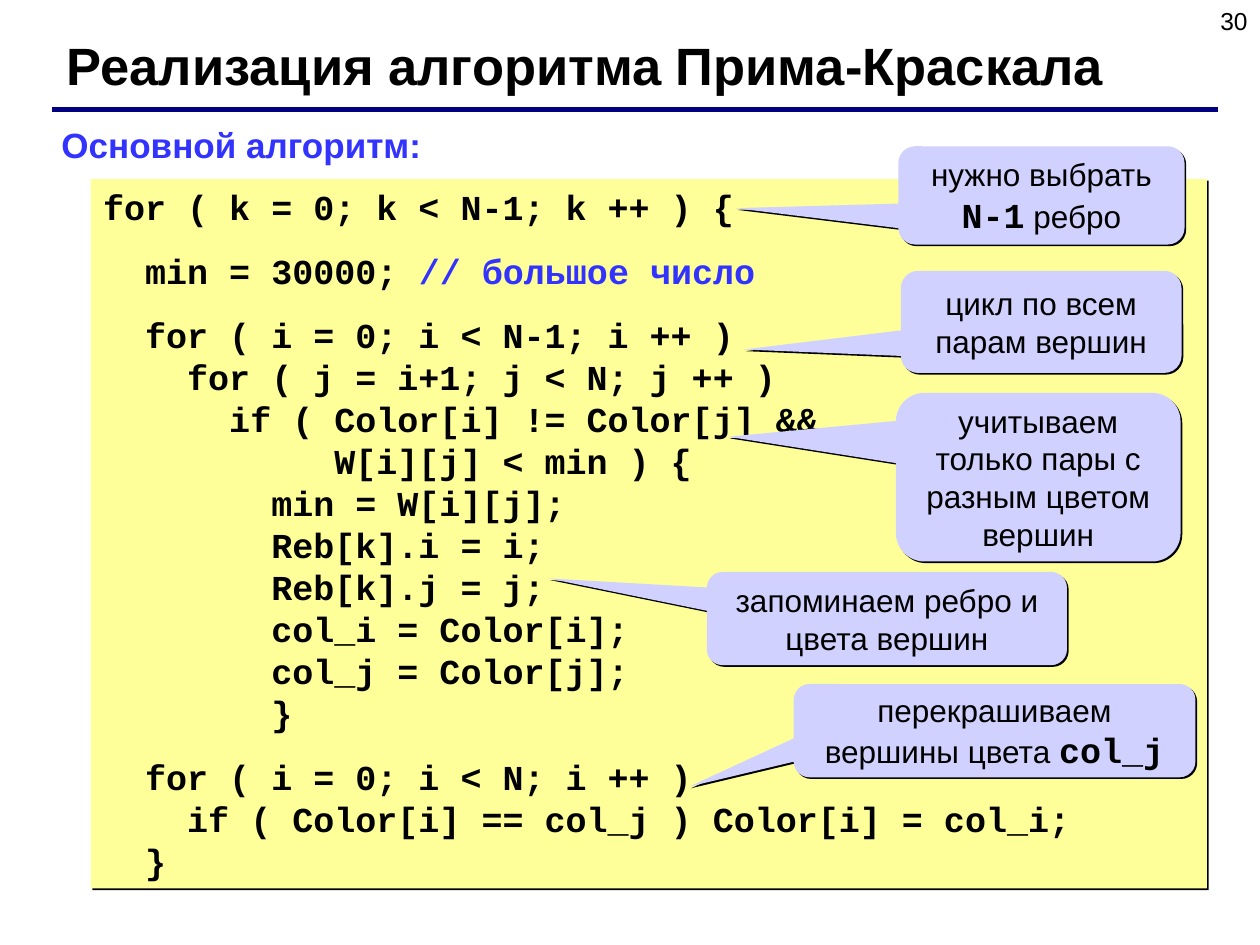
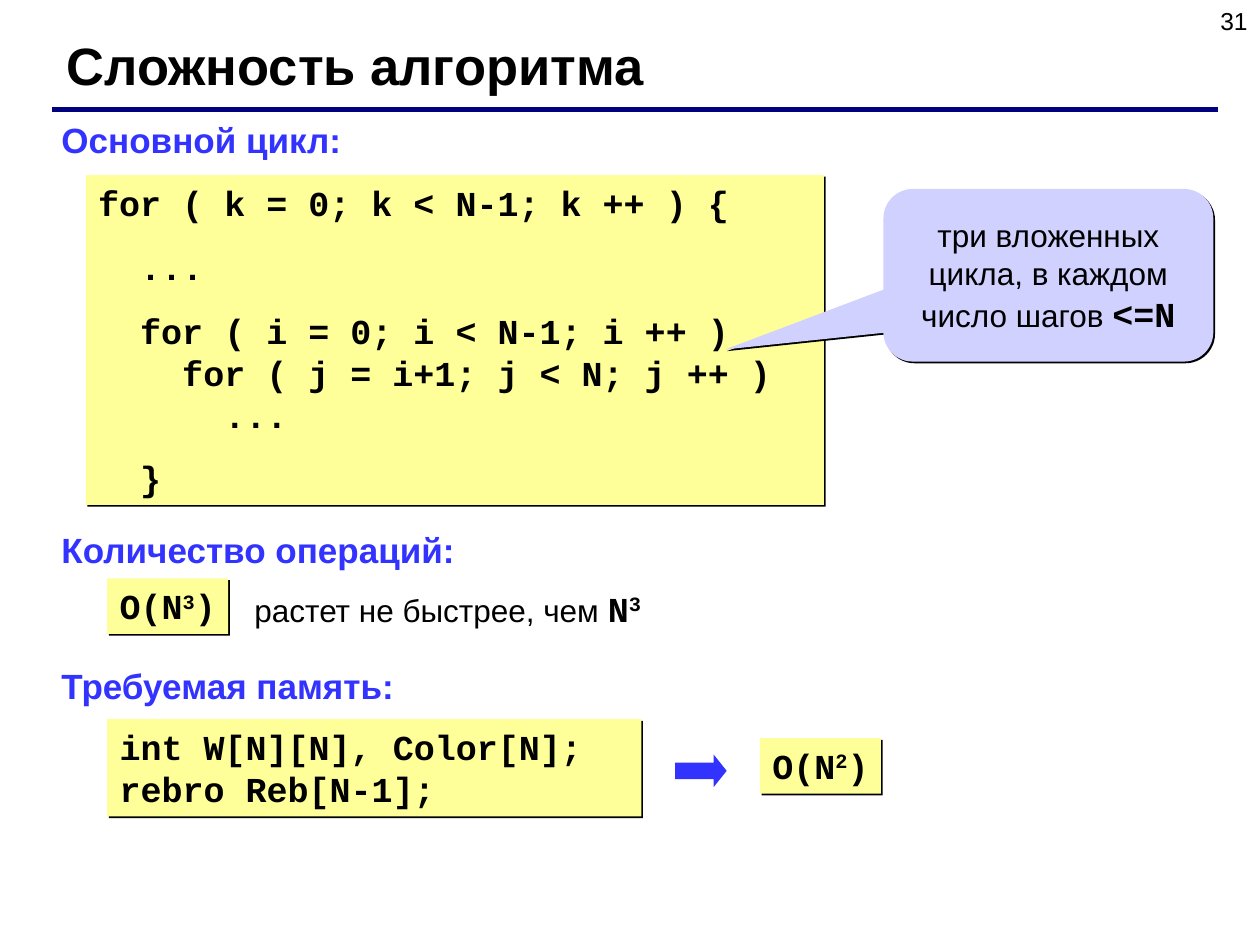
from dataclasses import dataclass
from typing import NamedTuple

from lxml import etree
from pptx import Presentation
from pptx import util as u
from pptx.dml.color import RGBColor
from pptx.enum import shapes, text
from pptx.oxml.ns import qn

BLACK, BLUE, NAVY = "000000", "3333FF", "000080"
CODE_FILL, CALLOUT_FILL = "FFFF99", "D1D1FF"


class Style(NamedTuple):
    font: str
    size: int
    bold: bool = False
    color: str = BLACK


TITLE = Style("Arial", 30, True)
HEADING = Style("Arial", 20, True, BLUE)
BODY = Style("Arial", 18)
NUMBER = Style("Arial", 14)
CODE = Style("Courier New", 20, True)
COMMENT = CODE._replace(color=BLUE)


class Run(NamedTuple):
    text: str
    style: Style
    superscript: bool = False


class Box(NamedTuple):
    left: float
    top: float
    width: float
    height: float

    def lengths(self) -> list:
        return [u.Cm(v) for v in self]


@dataclass
class Callout:
    box: Box
    tip: tuple[float, float]
    runs: list[Run]


@dataclass
class CodeBox:
    box: Box
    blocks: list[list[list[Run]]]
    wrap: bool = True


def rgb(value: str) -> RGBColor:
    return RGBColor.from_string(value)


def apply_font(font, style: Style) -> None:
    font.name = style.font
    font.size = u.Pt(style.size)
    font.bold = style.bold
    font.color.rgb = rgb(style.color)


def write(p, runs: list[Run], align=text.PP_ALIGN.LEFT) -> None:
    p.alignment = align
    uniform = len({run.style for run in runs}) == 1
    if uniform:
        apply_font(p.font, runs[0].style)
    for run in runs:
        if "\v" in run.text:
            before, after = run.text.split("\v")
            r = p.add_run()
            r.text = before
            if not uniform:
                apply_font(r.font, run.style)
            p.add_line_break()
            run = run._replace(text=after)
        r = p.add_run()
        r.text = run.text
        if not uniform:
            apply_font(r.font, run.style)
        if run.superscript:
            r._r.get_or_add_rPr().set("baseline", "30000")


def add_text(s, box: Box, runs: list[Run], align=text.PP_ALIGN.LEFT, wrap: bool = True) -> None:
    tf = s.shapes.add_textbox(*box.lengths()).text_frame
    tf.word_wrap = wrap
    write(tf.paragraphs[0], runs, align)


def add_panel(s, preset, box: Box, fill: str, shadow: bool = True):
    sp = s.shapes.add_shape(preset, *box.lengths())
    sp.fill.solid()
    sp.fill.fore_color.rgb = rgb(fill)
    sp.line.fill.background()
    sp.shadow.inherit = False
    if shadow:
        effects = sp._element.spPr.find(qn("a:effectLst"))
        outer = etree.SubElement(effects, qn("a:outerShdw"), dist=str(u.Pt(1.4)),
                                 dir="2700000", algn="ctr", rotWithShape="0")
        etree.SubElement(outer, qn("a:srgbClr"), val=BLACK)
    return sp


def add_code(s, code: CodeBox) -> None:
    tf = add_panel(s, shapes.MSO_SHAPE.RECTANGLE, code.box, CODE_FILL).text_frame
    tf.word_wrap = code.wrap
    tf.vertical_anchor = text.MSO_ANCHOR.TOP
    p = None
    for block in code.blocks:
        for i, runs in enumerate(block):
            first = p is None
            p = tf.paragraphs[0] if first else tf.add_paragraph()
            if i == 0 and not first:
                p.space_before = u.Pt(12.5)
            write(p, runs)


def add_callout(s, callout: Callout) -> None:
    sp = add_panel(s, shapes.MSO_SHAPE.ROUNDED_RECTANGULAR_CALLOUT, callout.box, CALLOUT_FILL)
    for i, value in enumerate((*callout.tip, 0.17)):
        sp.adjustments[i] = value
    tf = sp.text_frame
    tf.word_wrap = True
    tf.vertical_anchor = text.MSO_ANCHOR.MIDDLE
    write(tf.paragraphs[0], callout.runs, text.PP_ALIGN.CENTER)


def add_heading(s, top: float, label: str) -> None:
    add_text(s, Box(0.99, top, 9.55, 1.12), [Run(label, HEADING)])


def add_slide(prs, number: int, title: str):
    s = prs.slides.add_slide(prs.slide_layouts[5])
    sp = s.shapes.title
    sp.left, sp.top, sp.width, sp.height = Box(1.09, 0.53, 22.61, 1.52).lengths()
    tf = sp.text_frame
    tf.auto_size = text.MSO_AUTO_SIZE.NONE
    tf.vertical_anchor = text.MSO_ANCHOR.TOP
    write(tf.paragraphs[0], [Run(title, TITLE)])
    add_text(s, Box(19.48, 0, 5.92, 1.32), [Run(str(number), NUMBER)], text.PP_ALIGN.RIGHT)
    rule = s.shapes.add_connector(shapes.MSO_CONNECTOR.STRAIGHT,
                                  u.Cm(1.04), u.Cm(2.21), u.Cm(24.56), u.Cm(2.21))
    rule.line.color.rgb = rgb(NAVY)
    rule.line.width = u.Pt(3)
    etree.SubElement(rule._element.spPr, qn("a:effectLst"))
    return s


def code_line(line: str) -> list[Run]:
    statement, mark, comment = line.partition("//")
    runs = [Run(statement, CODE)]
    return runs + [Run(mark + comment, COMMENT)] if mark else runs


def code_blocks(source: str) -> list[list[list[Run]]]:
    return [[code_line(line) for line in block.split("\n")] for block in source.split("\n\n")]


def power(degree: str) -> list[Run]:
    return [Run("N", CODE), Run(degree, CODE, True)]


def big_o(left: float, top: float, degree: str) -> CodeBox:
    runs = [Run("O(", CODE), *power(degree), Run(")", CODE)]
    return CodeBox(Box(left, top, 2.44, 1.12), [[runs]], wrap=False)


MAIN_CODE = """for ( k = 0; k < N-1; k ++ ) {

  min = 30000; // большое число

  for ( i = 0; i < N-1; i ++ )
    for ( j = i+1; j < N; j ++ )
      if ( Color[i] != Color[j] &&
           W[i][j] < min ) {
        min = W[i][j];
        Reb[k].i = i;
        Reb[k].j = j;
        col_i = Color[i];
        col_j = Color[j];
        }

  for ( i = 0; i < N; i ++ )
    if ( Color[i] == col_j ) Color[i] = col_i;
  }"""

LOOP_CODE = """for ( k = 0; k < N-1; k ++ ) {

  ...

  for ( i = 0; i < N-1; i ++ )
    for ( j = i+1; j < N; j ++ )
      ...

  }"""

MEMORY_CODE = """int W[N][N], Color[N];
rebro Reb[N-1];"""

STEP_CALLOUTS = [
    Callout(Box(18.11, 2.95, 5.77, 1.98), (-1.07, 0.13),
            [Run("нужно выбрать ", BODY), Run("N-1", CODE), Run(" ребро", BODY)]),
    Callout(Box(18.16, 5.46, 5.66, 2.06), (-1.06, 0.27),
            [Run("цикл по всем парам вершин", BODY)]),
    Callout(Box(18.06, 7.92, 5.74, 3.4), (-1.09, -0.24),
            [Run("учитываем только пары с разным цветом вершин", BODY)]),
    Callout(Box(14.25, 11.53, 7.26, 1.88), (-0.94, -0.43),
            [Run("запоминаем ребро и цвета вершин", BODY)]),
    Callout(Box(16, 13.79, 8.1, 1.88), (-0.76, 0.6),
            [Run("перекрашиваем\vвершины цвета ", BODY), Run("col_j", CODE)]),
]

NESTING_CALLOUT = Callout(Box(17.81, 3.81, 6.65, 3.48), (-0.98, 0.43),
                          [Run("три вложенных цикла, в каждом число шагов ", BODY),
                           Run("<=N", CODE)])


def build_implementation(prs) -> None:
    s = add_slide(prs, 30, "Реализация алгоритма Прима-Краскала")
    add_code(s, CodeBox(Box(1.83, 3.61, 22.5, 14.3), code_blocks(MAIN_CODE)))
    add_heading(s, 2.36, "Основной алгоритм:")
    for callout in STEP_CALLOUTS:
        add_callout(s, callout)


def build_complexity(prs) -> None:
    s = add_slide(prs, 31, "Сложность алгоритма")
    for top, label in ((2.26, "Основной цикл:"), (10.52, "Количество операций:"),
                       (13.28, "Требуемая память:")):
        add_heading(s, top, label)
    for code in (CodeBox(Box(1.73, 3.53, 14.88, 6.65), code_blocks(LOOP_CODE)),
                 big_o(2.16, 11.66, "3"),
                 CodeBox(Box(2.16, 14.5, 10.77, 1.96), code_blocks(MEMORY_CODE)),
                 big_o(15.32, 14.88, "2")):
        add_code(s, code)
    add_callout(s, NESTING_CALLOUT)
    add_text(s, Box(4.88, 11.71, 8.33, 1.12),
             [Run("растет не быстрее, чем ", BODY), *power("3")], wrap=False)
    arrow = add_panel(s, shapes.MSO_SHAPE.RIGHT_ARROW, Box(13.61, 15.21, 1.04, 0.66), BLUE, False)
    arrow.adjustments[1] = 0.4


def main() -> None:
    prs = Presentation()
    prs.slide_width, prs.slide_height = u.Cm(25.4), u.Cm(19.05)
    build_implementation(prs)
    build_complexity(prs)
    prs.save("out.pptx")


if __name__ == "__main__":
    main()
